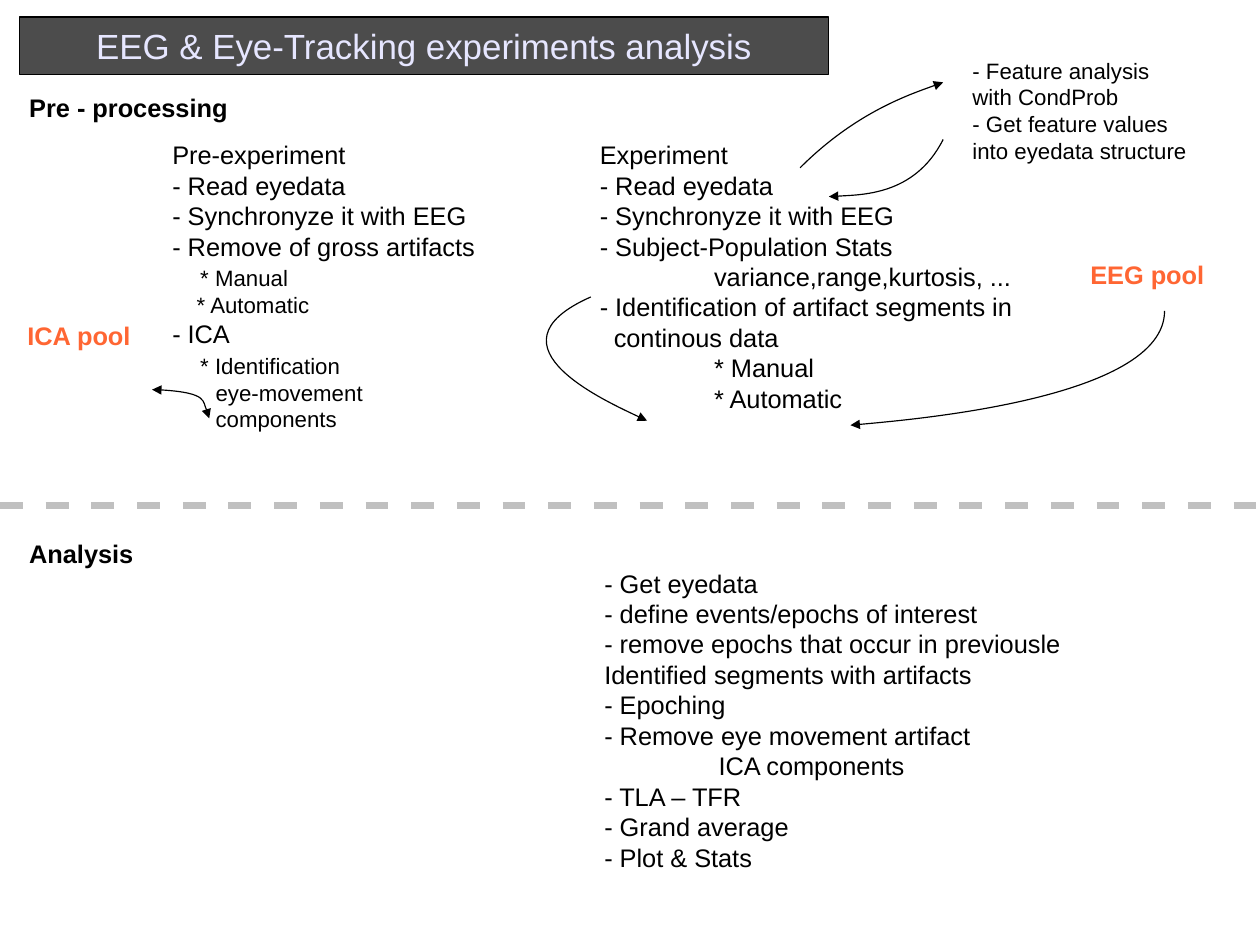
import pptx
import pptx.dml.color
import pptx.enum.shapes
import pptx.enum.text
import pptx.oxml.ns
import pptx.util
from lxml import etree

Cm, Pt = pptx.util.Cm, pptx.util.Pt
qn = pptx.oxml.ns.qn
BLACK, ORANGE = "000000", "FF6633"


def colour(hex_string):
    return pptx.dml.color.RGBColor.from_string(hex_string)


def write_lines(frame, lines, size, hex_string, bold=False):
    """Fill a frame; a line is text or (text, indent in cm, size, space before in pt)."""
    frame.word_wrap = True
    rows = [(line, 0, size, 0) if isinstance(line, str) else line for line in lines]
    frame.text = "\n".join(row[0] for row in rows)
    for para, (_, indent, line_size, before) in zip(frame.paragraphs, rows):
        if before:
            para.space_before = Pt(before)
        if indent:
            properties = para._p.get_or_add_pPr()
            properties.set("marL", str(Cm(indent)))
            properties.set("indent", "0")
        font = para.runs[0].font
        font.name = "Arial"
        font.size = Pt(line_size)
        font.bold = bold
        font.color.rgb = colour(hex_string)


deck = pptx.Presentation()
deck.slide_width, deck.slide_height = Cm(28), Cm(21)
page = deck.slides.add_slide(deck.slide_layouts[6])

# Title bar
title = page.shapes.add_shape(
    pptx.enum.shapes.MSO_SHAPE.RECTANGLE, Cm(0.43), Cm(0.38), Cm(17.98), Cm(1.27))
title.shadow.inherit = False
title.fill.solid()
title.fill.fore_color.rgb = colour("4C4C4C")
title.line.color.rgb = colour(BLACK)
title.line.width = Pt(0)
write_lines(title.text_frame, ["EEG & Eye-Tracking experiments analysis"], 22, "E6E6FF")
title.text_frame.vertical_anchor = pptx.enum.text.MSO_ANCHOR.MIDDLE
title.text_frame.paragraphs[0].alignment = pptx.enum.text.PP_ALIGN.CENTER

# Dashed divider between the two stages
divider = page.shapes.add_connector(
    pptx.enum.shapes.MSO_CONNECTOR.STRAIGHT, 0, Cm(11.23), Cm(28), Cm(11.23))
divider.line.color.rgb = colour("C0C0C0")
divider.line.width = Pt(4.31)
divider_properties = divider.element.spPr
dashes = etree.SubElement(divider_properties.find(qn("a:ln")), qn("a:custDash"))
etree.SubElement(dashes, qn("a:ds"), d="334000", sp="334000")
etree.SubElement(divider_properties, qn("a:effectLst"))

# Headings and pools: left, top, width, height, text, colour
labels = [
    (0.4, 1.93, 5.7, 1.27, "Pre - processing", BLACK),
    (0.4, 11.84, 3.15, 1.27, "Analysis", BLACK),
    (0.36, 6.99, 3.15, 1.02, "ICA pool", ORANGE),
    (23.98, 5.64, 3.3, 1.02, "EEG pool", ORANGE),
]
for left, top, width, height, text, hex_string in labels:
    box = page.shapes.add_textbox(Cm(left), Cm(top), Cm(width), Cm(height))
    write_lines(box.text_frame, [text], 16, hex_string, bold=True)

# Step lists: left, top, width, height, size, lines
step_lists = [
    (3.58, 2.97, 8.05, 7.62, 16, [
        "Pre-experiment",
        "- Read eyedata",
        "- Synchronyze it with EEG",
        "- Remove of gross artifacts",
        ("* Manual", 0.62, 14, 2.3),
        ("* Automatic", 0.54, 14, 0),
        "- ICA",
        ("* Identification", 0.62, 14, 2.3),
        ("eye-movement", 0.96, 14, 0),
        ("components", 0.96, 14, 0),
    ]),
    (13.08, 2.97, 11.05, 7.85, 16, [
        "Experiment",
        "- Read eyedata",
        "- Synchronyze it with EEG",
        "- Subject-Population Stats",
        ("variance,range,kurtosis, ...", 2.54, 16, 0),
        "- Identification of artifact segments in",
        ("continous data", 0.31, 16, 0),
        ("* Manual", 2.54, 16, 0),
        ("* Automatic", 2.54, 16, 0),
    ]),
    (13.18, 12.49, 11.96, 8, 16, [
        "- Get eyedata",
        "- define events/epochs of interest",
        "- remove epochs that occur in previousle",
        "Identified segments with artifacts",
        "- Epoching",
        "- Remove eye movement artifact",
        ("ICA components", 2.54, 16, 0),
        "- TLA – TFR",
        "- Grand average",
        "- Plot & Stats",
    ]),
    (21.36, 1.14, 6.02, 4.29, 14, [
        "- Feature analysis",
        "with CondProb",
        "- Get feature values",
        "into eyedata structure",
    ]),
]
for left, top, width, height, size, lines in step_lists:
    box = page.shapes.add_textbox(Cm(left), Cm(top), Cm(width), Cm(height))
    write_lines(box.text_frame, lines, size, BLACK)

# Curved arrows: start, control point, end, arrowheads
curves = [
    ((13.13, 6.6), (10.64, 7.7), (14.38, 9.35), ["tailEnd"]),
    ((25.88, 6.91), (25.88, 8.89), (18.9, 9.45), ["tailEnd"]),
    ((3.38, 8.66), (4.65, 8.66), (4.65, 9.3), ["headEnd", "tailEnd"]),
    ((17.78, 3.73), (19.05, 2.46), (20.96, 1.83), ["tailEnd"]),
    ((20.96, 3.1), (20.32, 4.37), (18.42, 4.37), ["tailEnd"]),
]
for start, control, end, arrowheads in curves:
    points = [(Cm(x), Cm(y)) for x, y in (start, control, end, end)]
    builder = page.shapes.build_freeform(*points[0])
    builder.add_line_segments(points[1:], close=False)
    curve = builder.convert_to_shape()
    curve.shadow.inherit = False
    curve.fill.background()
    curve.line.color.rgb = colour(BLACK)
    curve.line.width = Pt(0)
    # Merge the straight segments into one cubic curve
    outline = next(curve.element.iter(qn("a:path")))
    segments = outline.findall(qn("a:lnTo"))
    bezier = etree.SubElement(outline, qn("a:cubicBezTo"))
    for segment in segments:
        bezier.append(segment[0])
        outline.remove(segment)
    stroke = curve.element.spPr.find(qn("a:ln"))
    for arrowhead in arrowheads:
        etree.SubElement(stroke, qn(f"a:{arrowhead}"), type="triangle")

deck.save("out.pptx")
